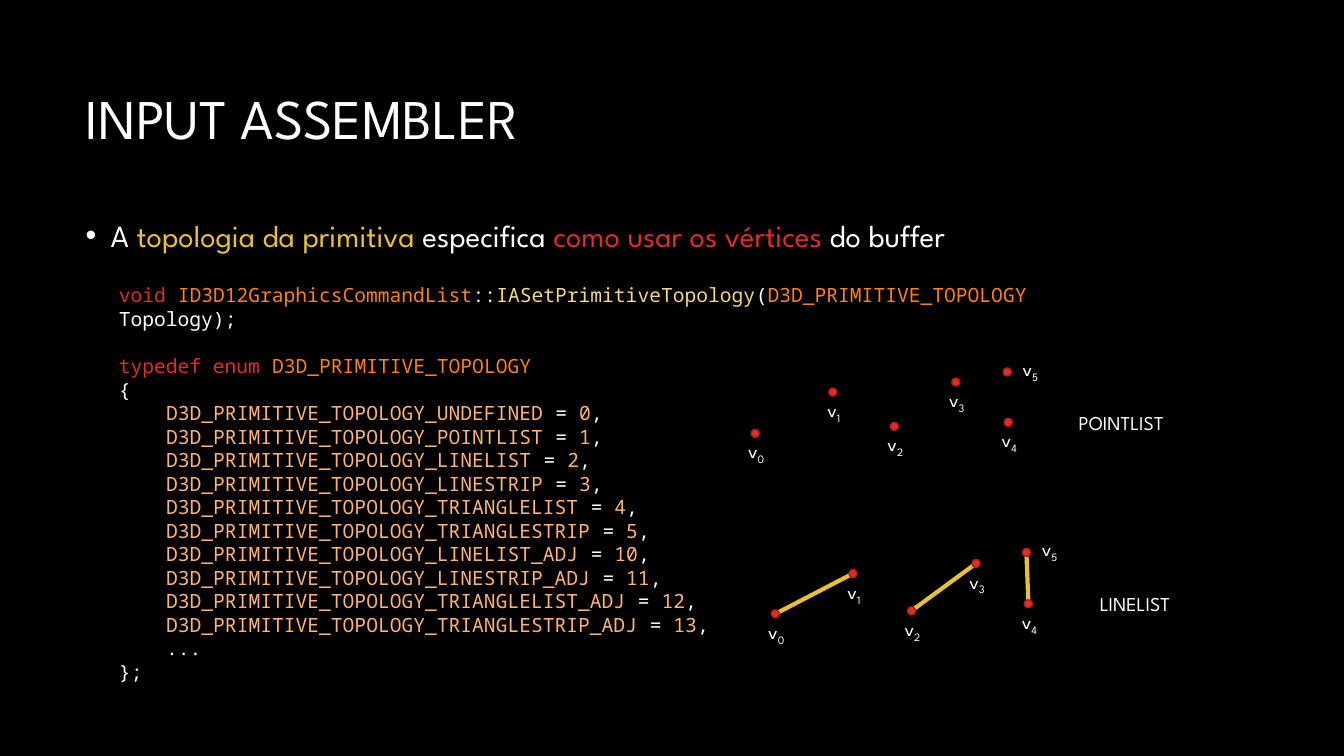
from dataclasses import dataclass

import pptx
import pptx.dml.color
import pptx.enum.shapes
import pptx.enum.text
import pptx.oxml
import pptx.oxml.ns
import pptx.util

Inches = pptx.util.Inches
Pt = pptx.util.Pt
Align = pptx.enum.text.PP_ALIGN


@dataclass(frozen=True)
class Theme:
    background: str = "000000"
    text: str = "FFFFFF"
    red: str = "DF2E28"
    dark_red: str = "AC1E1A"
    yellow: str = "E9BF35"
    type_name: str = "FE801A"
    function_name: str = "F2D986"
    constant: str = "FEB376"
    body_font: str = "League Spartan"
    code_font: str = "Noto Sans Mono"
    title_size: int = 40
    body_size: int = 22
    small_size: int = 14


THEME = Theme()

DOT_SIZE = 0.08
LABEL_BELOW = (-0.14, 0.05)
LABEL_RIGHT = (0.08, -0.16)

TOPOLOGIES = [
    ("UNDEFINED", 0), ("POINTLIST", 1), ("LINELIST", 2), ("LINESTRIP", 3),
    ("TRIANGLELIST", 4), ("TRIANGLESTRIP", 5), ("LINELIST_ADJ", 10),
    ("LINESTRIP_ADJ", 11), ("TRIANGLELIST_ADJ", 12), ("TRIANGLESTRIP_ADJ", 13),
]

# Top left corners of the vertex dots v0 to v5
POINT_DOTS = [(7.45, 4.26), (8.22, 3.85), (8.83, 4.19),
              (9.44, 3.75), (9.96, 4.15), (9.95, 3.65)]
LINE_DOTS = [(7.65, 6.05), (8.42, 5.65), (9, 6.02),
             (9.64, 5.55), (10.16, 5.95), (10.14, 5.44)]


def rgb(value):
    return pptx.dml.color.RGBColor.from_string(value)


def write_spans(para, spans, size, font=THEME.body_font):
    """Fill a paragraph with (text, colour) spans."""
    for text, color in spans:
        span = para.add_run()
        span.text = text
        span.font.name = font
        span.font.size = Pt(size)
        span.font.color.rgb = rgb(color)


def add_text_box(shapes, left, top, width, height, wrap=False):
    box = shapes.add_textbox(Inches(left), Inches(top), Inches(width), Inches(height))
    box.text_frame.word_wrap = wrap
    return box.text_frame


def add_title(page, text):
    title = page.shapes.title
    title.left, title.top = Inches(0.75), Inches(0.5)
    title.width, title.height = Inches(11.83), Inches(1.41)
    frame = title.text_frame
    frame.auto_size = pptx.enum.text.MSO_AUTO_SIZE.NONE
    frame.vertical_anchor = pptx.enum.text.MSO_ANCHOR.MIDDLE
    para = frame.paragraphs[0]
    para.alignment = Align.LEFT
    para.line_spacing = 0.9
    write_spans(para, [(text, THEME.text)], THEME.title_size)


def add_bullet(page, spans):
    para = add_text_box(page.shapes, 0.75, 2.06, 11.83, 0.6, wrap=True).paragraphs[0]
    para.line_spacing = 1.1
    para.space_before = Pt(10)
    write_spans(para, spans, THEME.body_size)
    properties = para._p.get_or_add_pPr()
    properties.set("marL", str(Inches(0.25)))
    properties.set("indent", str(Inches(-0.25)))
    namespace = pptx.oxml.ns.nsdecls("a")
    properties.append(pptx.oxml.parse_xml(f'<a:buFont {namespace} typeface="Arial"/>'))
    properties.append(pptx.oxml.parse_xml(f'<a:buChar {namespace} char="•"/>'))


def add_code(page):
    frame = add_text_box(page.shapes, 1.08, 2.76, 9.77, 3.87, wrap=True)
    enum_name = "D3D_PRIMITIVE_TOPOLOGY"

    def write_line(para, *spans, indented=False):
        write_spans(para, spans, THEME.small_size, THEME.code_font)
        if indented:
            para._p.get_or_add_pPr().set("marL", str(Inches(0.47)))

    write_line(
        frame.paragraphs[0],
        ("void ", THEME.red),
        ("ID3D12GraphicsCommandList", THEME.type_name),
        ("::", THEME.text),
        ("IASetPrimitiveTopology", THEME.function_name),
        ("(", THEME.text),
        (enum_name, THEME.type_name),
        (" Topology);", THEME.text),
    )
    typedef = frame.add_paragraph()
    typedef.space_before = Pt(17)
    write_line(typedef, ("typedef enum ", THEME.red), (enum_name, THEME.type_name))
    write_line(frame.add_paragraph(), ("{", THEME.text))
    for name, value in TOPOLOGIES:
        write_line(
            frame.add_paragraph(),
            (f"{enum_name}_{name}", THEME.constant),
            (" = ", THEME.text),
            (str(value), THEME.constant),
            (",", THEME.text),
            indented=True,
        )
    write_line(frame.add_paragraph(), ("...", THEME.text), indented=True)
    write_line(frame.add_paragraph(), ("};", THEME.text))


def add_edge(shapes, start, end):
    """Draw a line between the centres of two dots."""
    ends = [Inches(value + DOT_SIZE / 2) for value in (*start, *end)]
    edge = shapes.add_connector(pptx.enum.shapes.MSO_CONNECTOR.STRAIGHT, *ends)
    edge.line.color.rgb = rgb(THEME.yellow)
    edge.line.width = Pt(3)
    edge._element.spPr.append(
        pptx.oxml.parse_xml(f'<a:effectLst {pptx.oxml.ns.nsdecls("a")}/>'))


def add_dot(shapes, left, top):
    dot = shapes.add_shape(pptx.enum.shapes.MSO_SHAPE.OVAL, Inches(left), Inches(top),
                           Inches(DOT_SIZE), Inches(DOT_SIZE))
    dot.shadow.inherit = False
    dot.fill.solid()
    dot.fill.fore_color.rgb = rgb(THEME.red)
    dot.line.color.rgb = rgb(THEME.dark_red)
    dot.line.width = Pt(1)


def add_vertex_label(shapes, left, top, index):
    para = add_text_box(shapes, left, top, 0.38, 0.34).paragraphs[0]
    para.alignment = Align.CENTER
    write_spans(para, [("v", THEME.text), (str(index), THEME.text)], THEME.small_size)
    para.runs[1].font._element.set("baseline", "-25000")


def add_topology(page, name, name_place, dots, edges=()):
    """Draw one group of edges, labelled vertices and the topology name."""
    shapes = page.shapes.add_group_shape().shapes
    for start, end in edges:
        add_edge(shapes, dots[start], dots[end])
    for index, (left, top) in enumerate(dots):
        shift_x, shift_y = LABEL_RIGHT if index == len(dots) - 1 else LABEL_BELOW
        add_vertex_label(shapes, left + shift_x, top + shift_y, index)
        add_dot(shapes, left, top)
    para = add_text_box(shapes, *name_place).paragraphs[0]
    write_spans(para, [(name, THEME.text)], THEME.small_size)


def main():
    deck = pptx.Presentation()
    deck.slide_width, deck.slide_height = Inches(13.33), Inches(7.5)
    page = deck.slides.add_slide(deck.slide_layouts.get_by_name("Title Only"))
    page.background.fill.solid()
    page.background.fill.fore_color.rgb = rgb(THEME.background)

    add_code(page)
    add_title(page, "INPUT ASSEMBLER")
    add_bullet(page, [
        ("A ", THEME.text),
        ("topologia da primitiva ", THEME.yellow),
        ("especifica ", THEME.text),
        ("como usar os vértices", THEME.red),
        (" do buffer", THEME.text),
    ])
    add_topology(page, "POINTLIST", (10.6, 4.03, 1.08, 0.34), POINT_DOTS)
    add_topology(page, "LINELIST", (10.81, 5.82, 0.9, 0.34), LINE_DOTS,
                 edges=[(1, 0), (3, 2), (5, 4)])
    deck.save("out.pptx")


if __name__ == "__main__":
    main()
